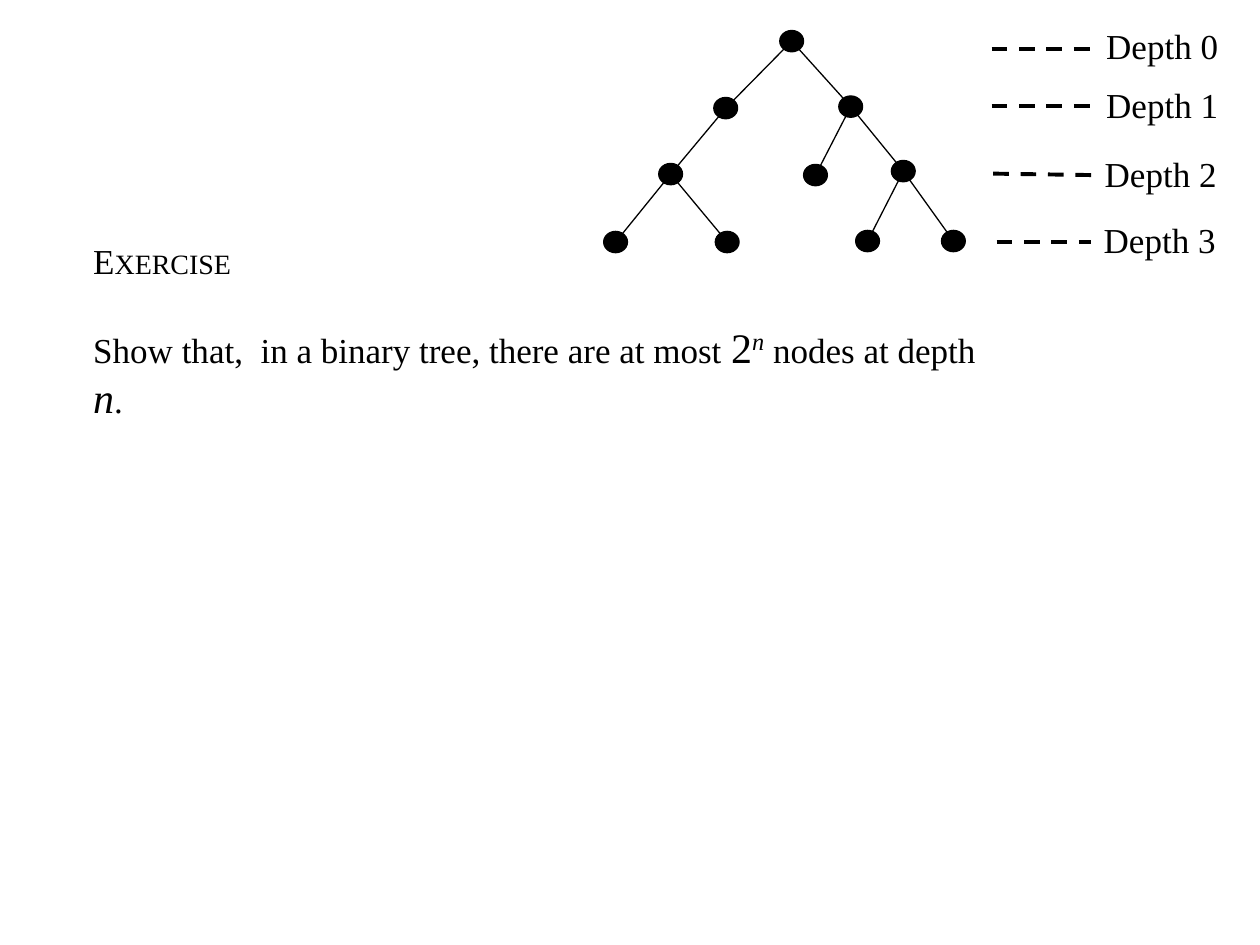
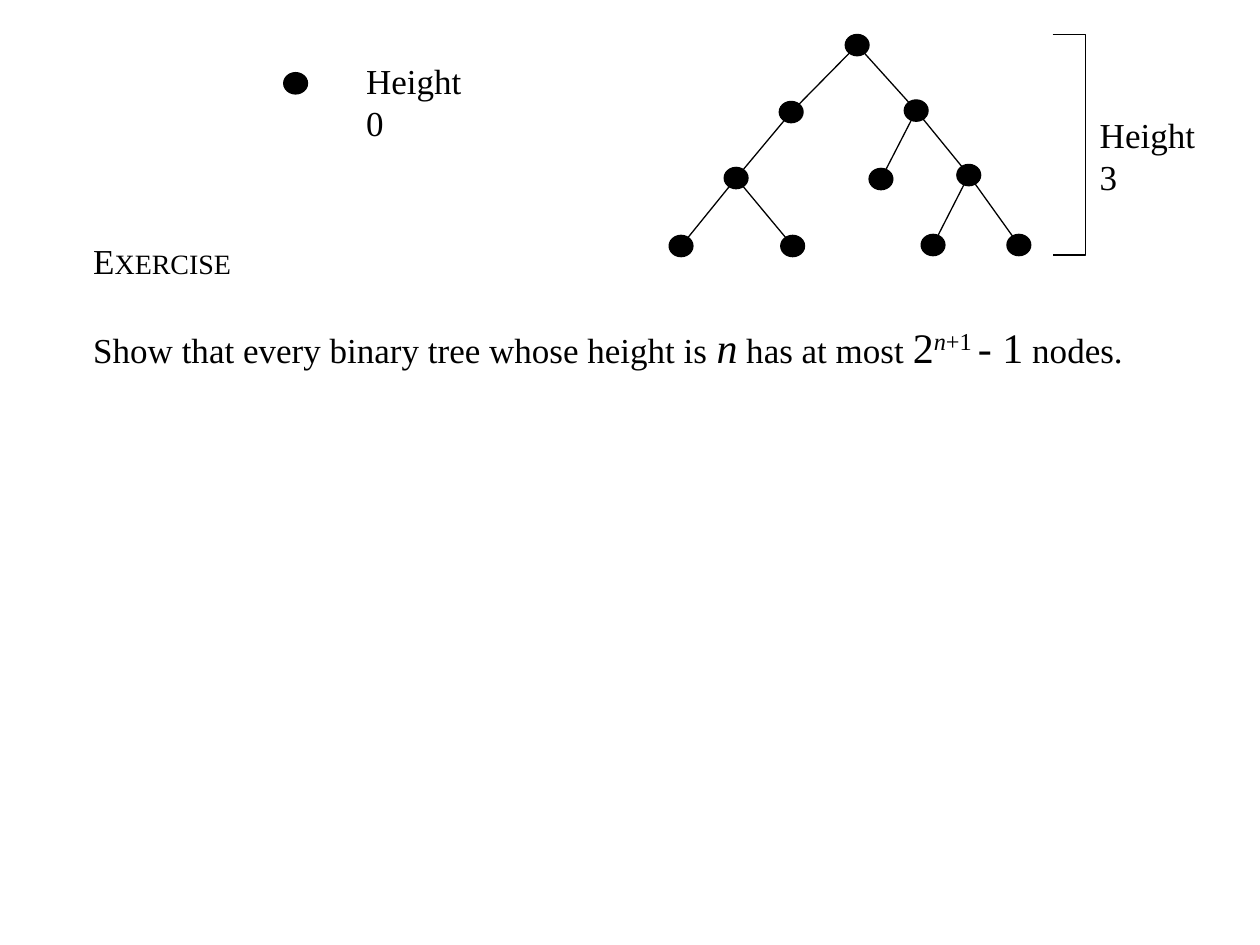
from pptx import Presentation
from pptx import util as u
from pptx.dml.color import RGBColor
from pptx.enum import dml, shapes, text
from pptx.oxml import parse_xml
from pptx.oxml.ns import nsdecls

FONT, BLACK = "Times New Roman", "000000"
BODY, MATH = 20, 24
NODE_W, NODE_H = 0.48, 0.43

HEADING = [("E", BODY, ""), ("XERCISE", 16, ""), (" ", BODY, "")]
DEPTH_EXERCISE = [
    ("Show that,  in a binary tree, there are at most ", BODY, ""),
    ("2", MATH, ""), ("n", MATH, "italic super"),
    (" nodes at depth ", BODY, ""), ("n", MATH, "italic"), (".", BODY, ""),
]
HEIGHT_EXERCISE = [
    ("Show that every binary tree whose height is ", BODY, ""),
    ("n", MATH, "italic"), (" has at most ", BODY, ""), ("2", MATH, ""),
    ("n", MATH, "italic super"), ("+1 ", MATH, "super"),
    ("- 1", MATH, ""), (" nodes.", BODY, ""),
]

# name of each node spells the left/right turns from the root
TREE = {
    "": (0, 0),
    "L": (-1.33, 1.35), "R": (1.19, 1.32),
    "LL": (-2.44, 2.68), "RL": (0.48, 2.7), "RR": (2.25, 2.62),
    "LLL": (-3.55, 4.05), "LLR": (-1.3, 4.05),
    "RRL": (1.53, 4.03), "RRR": (3.26, 4.03),
}
DEPTHS = [
    ("Depth 0", (22.05, 0.36), (19.99, 0.99, 21.97, 0.99)),
    ("Depth 1", (22.05, 1.55), (19.99, 2.13, 21.97, 2.13)),
    ("Depth 2", (22.02, 2.95), (20.02, 3.5, 22.05, 3.53)),
    ("Depth 3", (22, 4.29), (20.09, 4.88, 22, 4.88)),
]


def rgb(value):
    return RGBColor.from_string(value)


def add_text(s, x, y, w, h, paragraphs, wrap=False):
    tf = s.shapes.add_textbox(u.Cm(x), u.Cm(y), u.Cm(w), u.Cm(h)).text_frame
    tf.word_wrap = wrap
    tf.auto_size = text.MSO_AUTO_SIZE.SHAPE_TO_FIT_TEXT
    for i, runs in enumerate(paragraphs):
        p = tf.add_paragraph() if i else tf.paragraphs[0]
        if i:
            p.space_before = u.Pt(23)
        p.font.name, p.font.color.rgb = FONT, rgb(BLACK)
        for words, size, style in runs:
            r = p.add_run()
            r.text = words
            r.font.size = u.Pt(size)
            if "italic" in style:
                r.font.italic = True
            if "super" in style:
                r._r.get_or_add_rPr().set("baseline", "30000")


def add_label(s, x, y, w, words):
    add_text(s, x, y, w, 1.09, [[(words, BODY, "")]])


def add_line(s, x1, y1, x2, y2, width=0.75, dash=None):
    line = s.shapes.add_connector(shapes.MSO_CONNECTOR.STRAIGHT,
                                  u.Cm(x1), u.Cm(y1), u.Cm(x2), u.Cm(y2))
    line.line.color.rgb, line.line.width = rgb(BLACK), u.Pt(width)
    if dash:
        line.line.dash_style = dash
    line._element.spPr.append(parse_xml(f"<a:effectLst {nsdecls('a')}/>"))


def add_outlined(s, kind, x, y, w, h):
    sp = s.shapes.add_shape(kind, u.Cm(x), u.Cm(y), u.Cm(w), u.Cm(h))
    sp.shadow.inherit = False
    sp.line.color.rgb, sp.line.width = rgb(BLACK), u.Pt(0.75)
    return sp


def add_node(s, cx, cy):
    sp = add_outlined(s, shapes.MSO_SHAPE.OVAL, cx - NODE_W / 2,
                      cy - NODE_H / 2, NODE_W, NODE_H)
    sp.fill.solid()
    sp.fill.fore_color.rgb = rgb(BLACK)


def add_tree(s, root_x, root_y):
    centres = {k: (root_x + dx, root_y + dy) for k, (dx, dy) in TREE.items()}
    for name, centre in centres.items():
        if name:
            add_line(s, *centres[name[:-1]], *centre)
        add_node(s, *centre)


def add_exercise_slide(prs, statement, width, root):
    s = prs.slides.add_slide(prs.slide_layouts[6])
    add_text(s, 1.63, 4.7, width, 2.97, [HEADING, statement], wrap=True)
    add_tree(s, *root)
    return s


def main():
    prs = Presentation()
    prs.slide_width, prs.slide_height = u.Cm(25.4), u.Cm(19.05)

    s = add_exercise_slide(prs, DEPTH_EXERCISE, 18.9, (15.96, 0.83))
    for words, (x, y), ends in DEPTHS:
        add_label(s, x, y, 2.77, words)
        add_line(s, *ends, width=2.25, dash=dml.MSO_LINE.DASH)

    s = add_exercise_slide(prs, HEIGHT_EXERCISE, 21.5, (17.28, 0.91))
    bracket = add_outlined(s, shapes.MSO_SHAPE.RIGHT_BRACKET,
                           21.22, 0.69, 0.66, 4.45)
    bracket.adjustments[0] = 0
    bracket.fill.background()
    add_label(s, 21.92, 2.17, 2.95, "Height 3")
    add_node(s, 5.96, 1.68)
    add_label(s, 7.13, 1.08, 2.95, "Height 0")

    prs.save("out.pptx")


if __name__ == "__main__":
    main()
